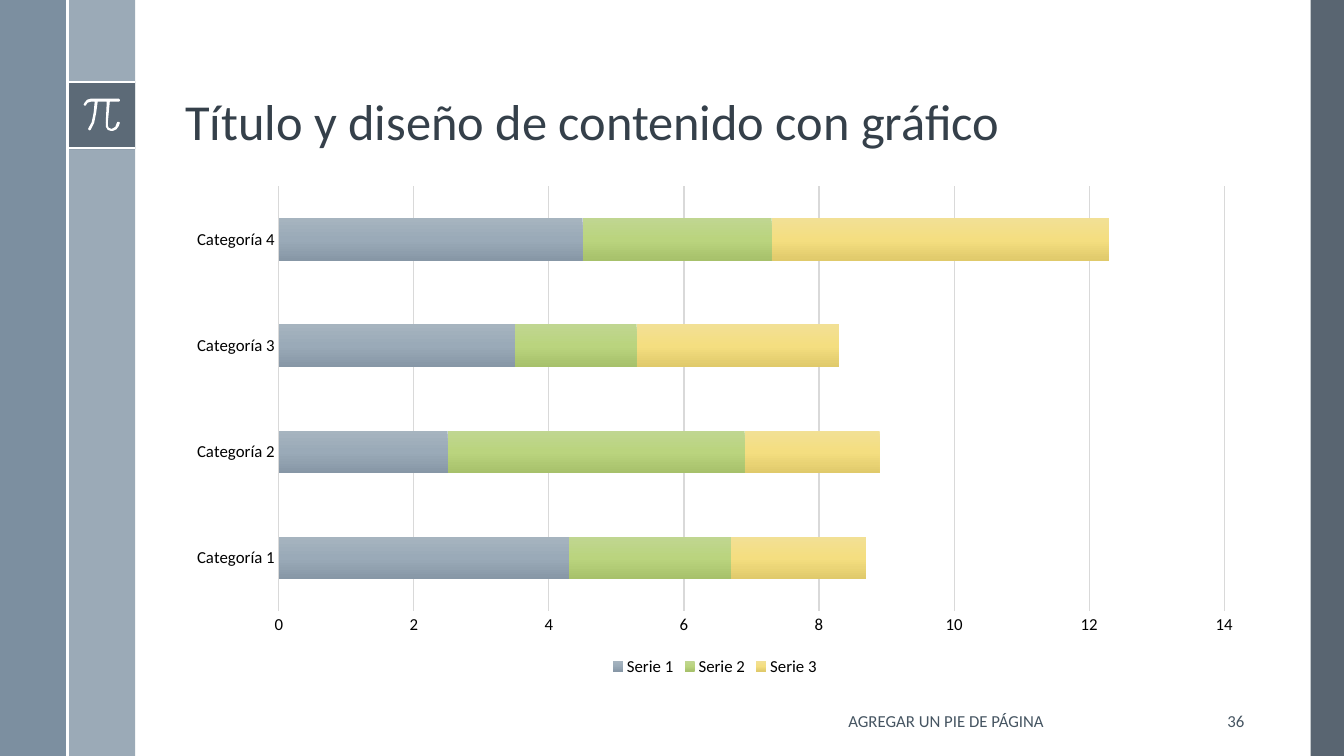
from lxml import etree
from pptx import Presentation
from pptx.chart.data import CategoryChartData
from pptx.dml.color import RGBColor
from pptx.enum.chart import XL_CHART_TYPE, XL_LEGEND_POSITION, XL_TICK_MARK
from pptx.enum.shapes import MSO_CONNECTOR, MSO_SHAPE
from pptx.enum.text import MSO_ANCHOR, PP_ALIGN
from pptx.oxml.ns import qn
from pptx.util import Inches, Pt

BAR_STACKED = XL_CHART_TYPE.BAR_STACKED
LEGEND_BOTTOM = XL_LEGEND_POSITION.BOTTOM
NO_TICK = XL_TICK_MARK.NONE
STRAIGHT = MSO_CONNECTOR.STRAIGHT
RECT = MSO_SHAPE.RECTANGLE
MIDDLE, BOTTOM = MSO_ANCHOR.MIDDLE, MSO_ANCHOR.BOTTOM
LEFT, CENTER, RIGHT = PP_ALIGN.LEFT, PP_ALIGN.CENTER, PP_ALIGN.RIGHT

FONT = "Calibri"
WHITE, BLACK, GRID = "FFFFFF", "000000", "D9D9D9"
SLATE, TEXT, TITLE = "475562", "465562", "35404A"
BAND = 0.67
CATEGORIES = ["Categoría 1", "Categoría 2", "Categoría 3", "Categoría 4"]
SERIES = [
    ("Serie 1", (4.3, 2.5, 3.5, 4.5), ("A6B4BF", "9AAAB8", "8797A6")),
    ("Serie 2", (2.4, 4.4, 1.8, 2.8), ("C0D691", "BAD47E", "A7C16B")),
    ("Serie 3", (2, 2, 3, 5), ("F2E095", "F4DE80", "E0CA6B")),
]
PI_OUTLINE = [
    (1180, 980), (900, 980), (865, 990), (840, 1020), (830, 1040),
    (840, 1050), (850, 1050), (870, 1020), (900, 1010), (940, 1010),
    (930, 1120), (910, 1215), (880, 1270), (875, 1280), (880, 1290),
    (890, 1295), (900, 1290), (935, 1220), (955, 1120), (970, 1010),
    (1060, 1010), (1050, 1220), (1052, 1260), (1070, 1290), (1100, 1300),
    (1120, 1300), (1155, 1285), (1180, 1250), (1190, 1220), (1180, 1210),
    (1165, 1210), (1160, 1220), (1145, 1260), (1110, 1280), (1080, 1270),
    (1070, 1245), (1070, 1220), (1090, 1010), (1180, 1010), (1190, 1000),
    (1190, 990),
]


def rgb(color):
    return RGBColor.from_string(color)


def style_font(font, size, color):
    font.name = FONT
    font.size = Pt(size)
    font.color.rgb = rgb(color)


def paint(sp, color, opacity=100):
    sp.shadow.inherit = False
    sp.line.fill.background()
    sp.fill.solid()
    sp.fill.fore_color.rgb = rgb(color)
    if opacity < 100:
        clr = sp.fill._xPr.find(qn("a:solidFill"))[0]
        etree.SubElement(clr, qn("a:alpha")).set("val", str(opacity * 1000))


def add_band(s, x, y, w, h, color, opacity=100):
    sp = s.shapes.add_shape(RECT, Inches(x), Inches(y), Inches(w), Inches(h))
    paint(sp, color, opacity)


def add_rule(s, x1, y1, x2, y2):
    line = s.shapes.add_connector(
        STRAIGHT, Inches(x1), Inches(y1), Inches(x2), Inches(y2))
    line.line.color.rgb = rgb(WHITE)
    line.line.width = Pt(1.5)
    etree.SubElement(line._element.spPr, qn("a:effectLst"))


def add_pi(s):
    builder = s.shapes.build_freeform(*PI_OUTLINE[0], scale=Inches(0.001))
    builder.add_line_segments(PI_OUTLINE[1:], close=True)
    paint(builder.convert_to_shape(), WHITE)


def add_text(s, text, x, y, w, h, size, color, align, anchor, spacing=None):
    sp = s.shapes.add_textbox(Inches(x), Inches(y), Inches(w), Inches(h))
    tf = sp.text_frame
    tf.word_wrap = True
    tf.vertical_anchor = anchor
    p = tf.paragraphs[0]
    p.alignment = align
    p.line_spacing = spacing
    r = p.add_run()
    r.text = text
    style_font(r.font, size, color)


def fill_gradient(fill, colors):
    fill.gradient()
    grad = fill._xPr.find(qn("a:gradFill"))
    stops = grad.find(qn("a:gsLst"))
    for stop in list(stops):
        stops.remove(stop)
    for i, color in enumerate(colors):
        stop = etree.SubElement(stops, qn("a:gs"), pos=str(i * 50000))
        etree.SubElement(stop, qn("a:srgbClr"), val=color)
    grad.find(qn("a:lin")).set("ang", "5400000")


def style_line(line):
    line.color.rgb = rgb(GRID)
    line.width = Pt(0.75)


def add_bar_chart(s, x, y, w, h):
    data = CategoryChartData()
    data.categories = CATEGORIES
    for name, values, _ in SERIES:
        data.add_series(name, values)
    chart = s.shapes.add_chart(
        BAR_STACKED, Inches(x), Inches(y), Inches(w), Inches(h), data).chart
    style_font(chart.font, 10, TEXT)
    chart.has_title = False
    chart.has_legend = True
    chart.legend.position = LEGEND_BOTTOM
    chart.legend.include_in_layout = False
    style_font(chart.legend.font, 12, BLACK)

    for axis in (chart.category_axis, chart.value_axis):
        axis.major_tick_mark = NO_TICK
        axis.minor_tick_mark = NO_TICK
        style_font(axis.tick_labels.font, 12, BLACK)
    style_line(chart.category_axis.format.line)
    chart.value_axis.format.line.fill.background()
    chart.value_axis.has_major_gridlines = True
    style_line(chart.value_axis.major_gridlines.format.line)

    plot = chart.plots[0]
    plot.gap_width = 150
    plot.overlap = 100
    plot.vary_by_categories = False
    for series, (_, _, colors) in zip(plot.series, SERIES):
        fill_gradient(series.format.fill, colors)


def main():
    prs = Presentation()
    prs.slide_width, prs.slide_height = Inches(13.33), Inches(7.5)
    s = prs.slides.add_slide(prs.slide_layouts[6])

    add_band(s, 13, 0, 0.33, 7.5, SLATE, 90)
    add_band(s, BAND, 0, BAND, 7.5, "9BAAB7")
    add_band(s, 0, 0, BAND, 7.5, "6A8093", 88)
    add_band(s, BAND, 0.81, BAND, BAND, SLATE, 75)
    for y in (0.81, 1.47):
        add_rule(s, BAND, y, 2 * BAND, y)
    add_pi(s)
    add_rule(s, BAND, 0, BAND, 7.5)

    add_text(s, "Título y diseño de contenido con gráfico",
             1.74, 0.19, 10.7, 1.36, 36, TITLE, LEFT, BOTTOM, 0.9)
    add_bar_chart(s, 1.74, 1.75, 10.7, 5)
    add_text(s, "AGREGAR UN PIE DE PÁGINA",
             7.21, 6.95, 4.35, 0.4, 12, TEXT, CENTER, MIDDLE)
    add_text(s, "36", 11.77, 6.95, 0.67, 0.4, 12, TEXT, RIGHT, MIDDLE)
    prs.save("out.pptx")


if __name__ == "__main__":
    main()
